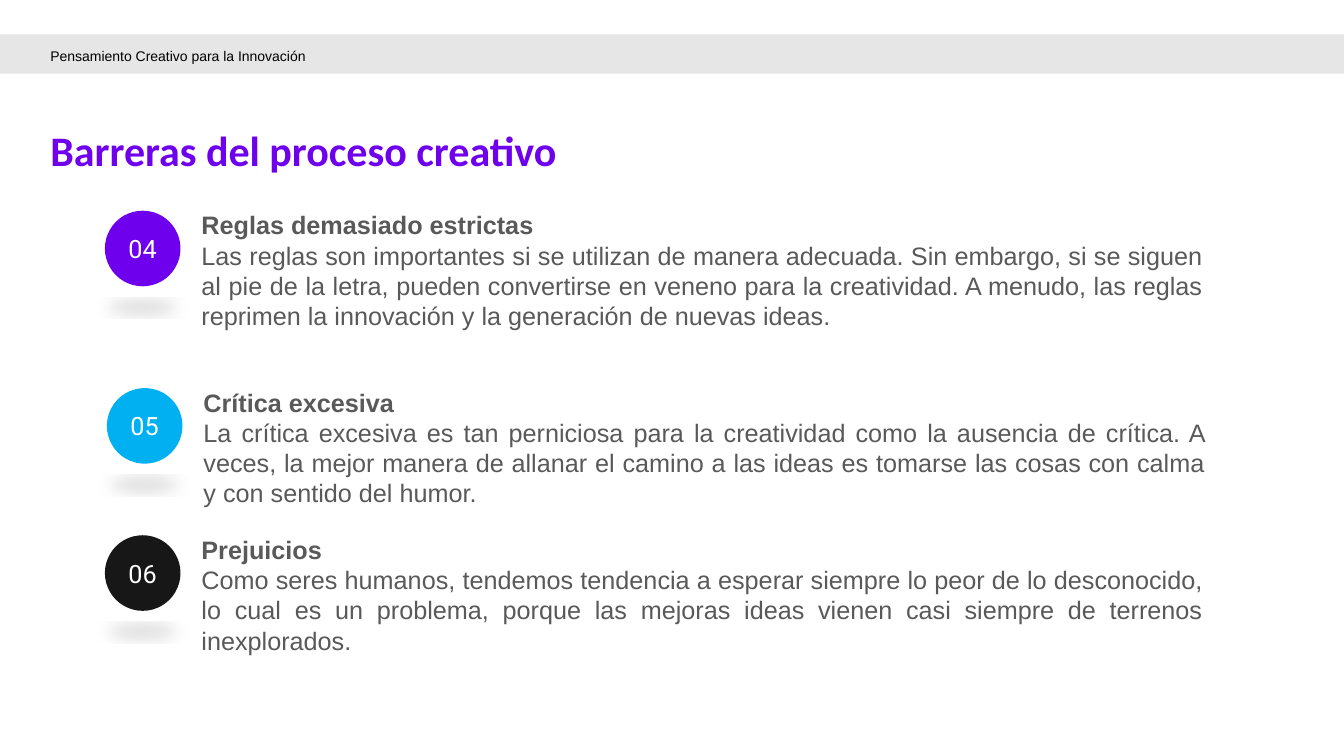
import pptx
import pptx.util
import pptx.dml.color
import pptx.enum.shapes
import pptx.enum.text
import pptx.oxml
import pptx.oxml.ns
from dataclasses import dataclass
from pptx.util import Inches


@dataclass(frozen=True)
class Theme:
    purple: str = "6E00ED"
    blue: str = "00B0F0"
    dark: str = "181717"
    band: str = "E7E6E6"
    body: str = "595959"
    white: str = "FFFFFF"
    black: str = "000000"
    title_size: int = 30
    body_size: int = 18
    header_size: int = 10


theme = Theme()
ALIGN = pptx.enum.text.PP_ALIGN
ANCHOR = pptx.enum.text.MSO_ANCHOR
SHAPE = pptx.enum.shapes.MSO_SHAPE
rgb = pptx.dml.color.RGBColor.from_string

FLOOR_SHADOW = f"""<a:effectLst {pptx.oxml.ns.nsdecls('a')}>
  <a:outerShdw blurRad="152400" dist="127000" dir="5400000" sx="90000" sy="-19000" rotWithShape="0">
    <a:srgbClr val="{theme.black}"><a:alpha val="15000"/></a:srgbClr>
  </a:outerShdw>
</a:effectLst>"""


def style(para, name, size, color, bold=False, align=ALIGN.LEFT):
    para.alignment = align
    para.font.name = name
    para.font.size = pptx.util.Pt(size)
    para.font.color.rgb = rgb(color)
    para.font.bold = bold


def clear_margins(frame):
    frame.margin_left = frame.margin_right = frame.margin_top = frame.margin_bottom = 0
    frame.word_wrap = True
    frame.auto_size = pptx.enum.text.MSO_AUTO_SIZE.NONE


deck = pptx.Presentation()
deck.slide_width, deck.slide_height = Inches(13.33), Inches(7.5)
page = deck.slides.add_slide(deck.slide_layouts.get_by_name("Title Only"))

# Header band
band = page.shapes.add_shape(SHAPE.RECTANGLE, 0, Inches(0.34), deck.slide_width, Inches(0.39))
band.shadow.inherit = False
band.fill.solid()
band.fill.fore_color.rgb = rgb(theme.band)
band.line.fill.background()

header = page.shapes.add_textbox(Inches(0.5), Inches(0.39), Inches(4.1), Inches(0.32))
clear_margins(header.text_frame)
para = header.text_frame.paragraphs[0]
para.text = "Pensamiento Creativo para la Innovación"
para.line_spacing = 1.5
style(para, "Arial", theme.header_size, theme.black)

# Title
title = page.shapes.title
title.left, title.top, title.width, title.height = Inches(0.5), Inches(1.3), Inches(9.82), Inches(0.52)
clear_margins(title.text_frame)
title.text_frame.vertical_anchor = ANCHOR.MIDDLE
para = title.text_frame.paragraphs[0]
para.text = "Barreras del proceso creativo"
para.line_spacing = 0.6
style(para, "Calibri", theme.title_size, theme.purple, bold=True)

# Numbered barriers: number, colour, left, top, heading, description
barriers = [
    ("04", theme.purple, 1.04, 2.09, "Reglas demasiado estrictas",
     "Las reglas son importantes si se utilizan de manera adecuada. Sin embargo, si se siguen "
     "al pie de la letra, pueden convertirse en veneno para la creatividad. A menudo, las reglas "
     "reprimen la innovación y la generación de nuevas ideas."),
    ("05", theme.blue, 1.06, 3.85, "Crítica excesiva",
     "La crítica excesiva es tan perniciosa para la creatividad como la ausencia de crítica. A "
     "veces, la mejor manera de allanar el camino a las ideas es tomarse las cosas con calma "
     "y con sentido del humor."),
    ("06", theme.dark, 1.04, 5.31, "Prejuicios",
     "Como seres humanos, tendemos tendencia a esperar siempre lo peor de lo desconocido, "
     "lo cual es un problema, porque las mejoras ideas vienen casi siempre de terrenos "
     "inexplorados."),
]
for number, color, left, top, heading, description in barriers:
    badge = page.shapes.add_shape(SHAPE.OVAL, Inches(left), Inches(top), Inches(0.75), Inches(0.75))
    badge.fill.solid()
    badge.fill.fore_color.rgb = rgb(color)
    badge.line.fill.background()
    badge.element.spPr.append(pptx.oxml.parse_xml(FLOOR_SHADOW))
    badge.text_frame.vertical_anchor = ANCHOR.MIDDLE
    para = badge.text_frame.paragraphs[0]
    para.text = number
    style(para, "Roboto", theme.body_size, theme.white, align=ALIGN.CENTER)

    box = page.shapes.add_textbox(Inches(left + 0.86), Inches(top - 0.06), Inches(10.13), Inches(1.31))
    box.text_frame.word_wrap = True
    para = box.text_frame.paragraphs[0]
    para.text = heading
    style(para, "Arial", theme.body_size, theme.body, bold=True)
    para = box.text_frame.add_paragraph()
    para.text = description
    style(para, "Arial", theme.body_size, theme.body, align=ALIGN.JUSTIFY)

deck.save("out.pptx")
